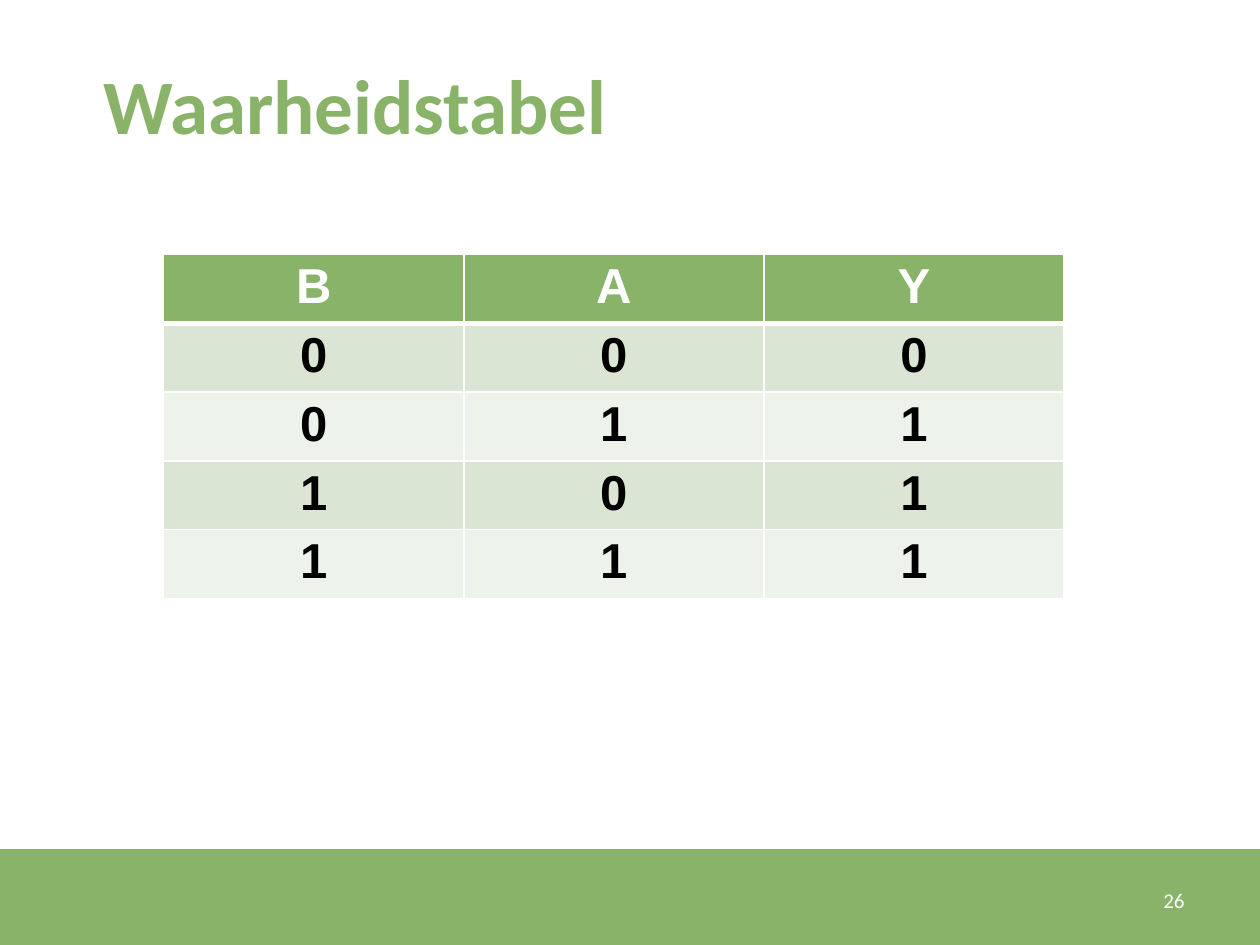
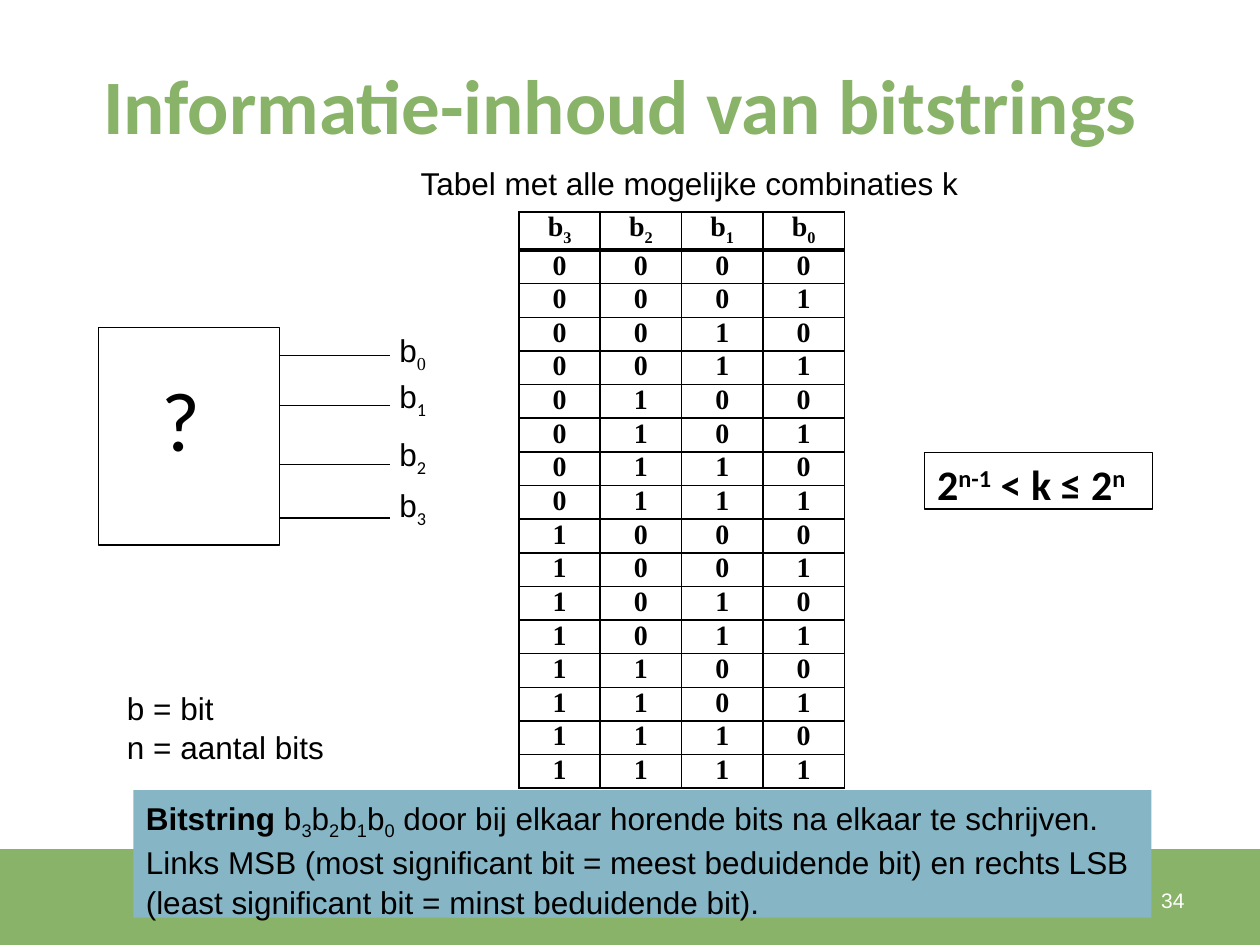
from itertools import product

from lxml.etree import SubElement
from pptx import Presentation
from pptx.dml.color import RGBColor
from pptx.enum.shapes import MSO_CONNECTOR, MSO_SHAPE
from pptx.enum.text import MSO_ANCHOR, PP_ALIGN
from pptx.oxml.ns import qn
from pptx.util import Cm, Pt

GREEN = RGBColor(0x89, 0xB3, 0x68)
GREEN_LIGHT = RGBColor(0xDA, 0xE5, 0xD4)
GREEN_PALE = RGBColor(0xED, 0xF2, 0xEB)
BLUE = RGBColor(0x86, 0xB6, 0xC6)
WHITE = RGBColor(0xFF, 0xFF, 0xFF)
BLACK = RGBColor(0x00, 0x00, 0x00)

PAGE_WIDTH, PAGE_HEIGHT = 25.4, 19.05
BAND_TOP = 17.12
SUBSCRIPT, SUPERSCRIPT = -25, 30


def bit(index):
    """Return the spans of a bit name with its index as subscript."""
    return [("b", {}), (str(index), {"baseline": SUBSCRIPT})]


def write(paragraph, content, size, font="Arial", color=BLACK, bold=False,
          align=PP_ALIGN.LEFT):
    """Fill a paragraph with a string or with (text, style) spans."""
    paragraph.alignment = align
    paragraph.font.size = Pt(size)
    paragraph.font.name = font
    paragraph.font.color.rgb = color
    paragraph.font.bold = bold
    spans = [(content, {})] if isinstance(content, str) else content
    for text, style in spans:
        span = paragraph.add_run()
        span.text = text
        if "bold" in style:
            span.font.bold = style["bold"]
        if "font" in style:
            span.font.name = style["font"]
        if "baseline" in style:
            span._r.get_or_add_rPr().set("baseline", str(style["baseline"] * 1000))


def fill_frame(shape, lines, size, anchor=MSO_ANCHOR.TOP, spacing=None, **style):
    """Write lines into a shape, one paragraph each."""
    frame = shape.text_frame
    frame.word_wrap = True
    frame.vertical_anchor = anchor
    for number, line in enumerate(lines):
        para = frame.add_paragraph() if number else frame.paragraphs[0]
        para.line_spacing = spacing
        write(para, line, size, **style)


def add_text(page, box, lines, size, **style):
    """Add a text box at box (left, top, width, height)."""
    fill_frame(page.shapes.add_textbox(*map(Cm, box)), lines, size, **style)


def add_rectangle(page, box, fill=None, line=None):
    """Add a flat rectangle with an optional fill and outline."""
    shape = page.shapes.add_shape(MSO_SHAPE.RECTANGLE, *map(Cm, box))
    shape.shadow.inherit = False
    if fill is None:
        shape.fill.background()
    else:
        shape.fill.solid()
        shape.fill.fore_color.rgb = fill
    if line is None:
        shape.line.fill.background()
    else:
        shape.line.color.rgb = line
        shape.line.width = Pt(0.75)
    return shape


def add_wire(page, left, right, height):
    """Add a thin horizontal line."""
    ends = map(Cm, (left, height, right, height))
    wire = page.shapes.add_connector(MSO_CONNECTOR.STRAIGHT, *ends)
    wire.line.color.rgb = BLACK
    wire.line.width = Pt(0.75)
    SubElement(wire._element.spPr, qn("a:effectLst"))


def set_borders(cell, color, widths):
    """Draw the left, right, top and bottom cell borders in points."""
    properties = cell._tc.get_or_add_tcPr()
    for position, (side, width) in enumerate(zip(("lnL", "lnR", "lnT", "lnB"), widths)):
        border = properties.makeelement(qn(f"a:{side}"), {"w": str(Pt(width))})
        properties.insert(position, border)
        solid = SubElement(border, qn("a:solidFill"))
        SubElement(solid, qn("a:srgbClr"), val=str(color))


def add_grid(page, left, top, column_width, row_height, rows, margins, border,
             header_rule, fills, header_color, **style):
    """Add a centred table whose header has a heavier bottom rule."""
    size = len(rows), len(rows[0])
    box = left, top, column_width * size[1], row_height * size[0]
    table = page.shapes.add_table(*size, *map(Cm, box)).table
    table.first_row = table.horz_banding = False
    for row_number, row in enumerate(rows):
        top_rule = header_rule if row_number == 1 else 1
        bottom_rule = 1 if row_number else header_rule
        header_fill, *bands = fills
        fill = bands[(row_number - 1) % len(bands)] if row_number else header_fill
        for column, content in enumerate(row):
            cell = table.cell(row_number, column)
            cell.margin_left = cell.margin_right = Cm(margins[0])
            cell.margin_top = cell.margin_bottom = Cm(margins[1])
            if fill is None:
                cell.fill.background()
            else:
                cell.fill.solid()
                cell.fill.fore_color.rgb = fill
            set_borders(cell, border, (1, 1, top_rule, bottom_rule))
            write(cell.text_frame.paragraphs[0], content, bold=True,
                  color=BLACK if row_number else header_color,
                  align=PP_ALIGN.CENTER, **style)


def add_page(deck, title, number, number_font):
    """Add a page with its band, title and page number."""
    page = deck.slides.add_slide(deck.slide_layouts[6])
    add_rectangle(page, (0, BAND_TOP, PAGE_WIDTH, PAGE_HEIGHT - BAND_TOP), GREEN)
    add_text(page, (1.83, 0.51, 22.3, 3.18), [title], 44, anchor=MSO_ANCHOR.MIDDLE,
             font="Calibri", color=GREEN, bold=True)
    add_text(page, (22.66, 17.63, 1.47, 1.02), [str(number)], 12,
             anchor=MSO_ANCHOR.MIDDLE, font=number_font, color=WHITE,
             align=PP_ALIGN.RIGHT)
    return page


def add_source_box(page, left, top):
    """Draw the unknown source with its four output bits."""
    width = 3.66
    add_rectangle(page, (left, top, width, 4.39), WHITE, BLACK)
    add_text(page, (left + 1.02, top + 0.69, 2, 2.72), ["?"], 48, font="Calibri")
    wire_heights = 0.56, 1.58, 2.77, 3.84
    label_tops = -0.05, 0.87, 2.04, 3.08
    for index, (wire_height, label_top) in enumerate(zip(wire_heights, label_tops)):
        add_wire(page, left + width, left + 5.89, top + wire_height)
        name, subscript = bit(index)
        subscript[1]["font"] = "Calibri" if index else "Times New Roman"
        add_text(page, (left + 5.82, top + label_top, 1.52, 1.32),
                 [[name, subscript]], 18)


def add_formula(page, box):
    """Add the framed bounds on the number of combinations."""
    raised = {"baseline": SUPERSCRIPT}
    formula = [("2", {}), ("n-1", raised), (" < k ≤ 2", {}), ("n", raised)]
    fill_frame(add_rectangle(page, box, line=BLACK), [formula], 24,
               font="Calibri", bold=True)


def add_bitstring_note(page, box):
    """Add the coloured definition of a bitstring."""
    bits = [span for index in (3, 2, 1, 0) for span in bit(index)]
    definition = [("Bitstring", {"bold": True}), (" ", {}), *bits,
                  (" door bij elkaar horende bits na elkaar te schrijven.", {})]
    lines = [definition,
             "Links MSB (most significant bit = meest beduidende bit) en rechts LSB",
             "(least significant bit = minst beduidende bit)."]
    fill_frame(add_rectangle(page, box, BLUE), lines, 18, spacing=1.05)


def build_truth_table(deck):
    """Build the page with the truth table."""
    page = add_page(deck, "Waarheidstabel", 26, "Calibri")
    inputs = product((0, 1), repeat=2)
    rows = ["BAY"] + [f"{b}{a}{b | a}" for b, a in inputs]
    add_grid(page, 3.3, 5.13, 6.05, 1.35, rows, margins=(0.25, 0.1), border=WHITE,
             header_rule=3, fills=(GREEN, GREEN_LIGHT, GREEN_PALE),
             header_color=WHITE, size=28)


def build_bitstrings(deck):
    """Build the page on the information content of bitstrings."""
    page = add_page(deck, "Informatie-inhoud van bitstrings", 34, "Arial")
    add_source_box(page, 1.98, 6.6)
    rows = [[bit(index) for index in (3, 2, 1, 0)], *product("01", repeat=4)]
    add_grid(page, 10.46, 4.27, 1.64, 0.66, rows, margins=(0.1, 0), border=BLACK,
             header_rule=2.25, fills=(None, None), header_color=BLACK, size=16,
             font="Times New Roman")
    add_formula(page, (18.64, 9.12, 4.6, 1.14))
    add_text(page, (2.31, 13.72, 4.6, 1.8), ["b = bit", "n = aantal bits"], 18,
             spacing=1.05)
    add_text(page, (8.23, 3.15, 11.46, 1.02),
             ["Tabel met alle mogelijke combinaties k"], 18, spacing=1.05)
    add_bitstring_note(page, (2.69, 15.93, 20.52, 2.57))


def main():
    """Build and save the deck."""
    deck = Presentation()
    deck.slide_width, deck.slide_height = Cm(PAGE_WIDTH), Cm(PAGE_HEIGHT)
    build_truth_table(deck)
    build_bitstrings(deck)
    deck.save("out.pptx")


if __name__ == "__main__":
    main()
